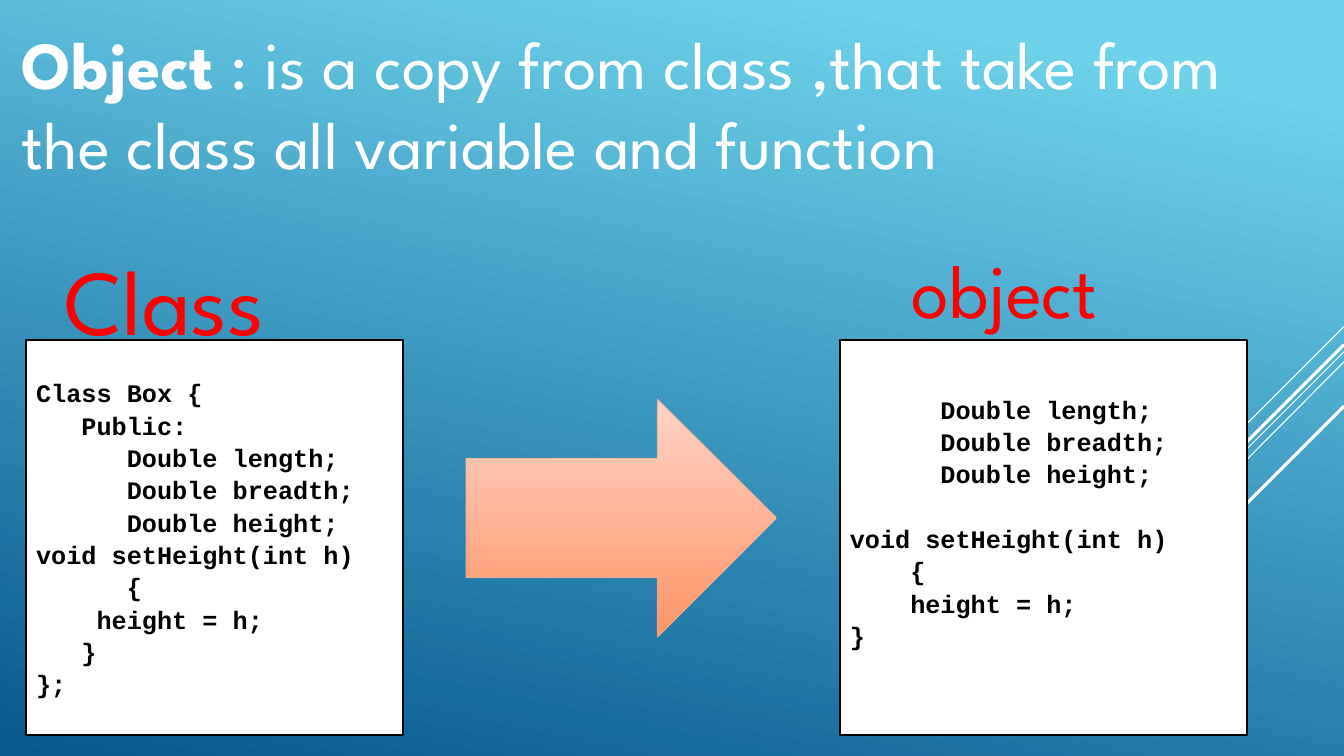
"""Build a slide showing an object as a copy made from a class."""
from pptx import Presentation
from pptx.dml.color import RGBColor
from pptx.enum.shapes import MSO_CONNECTOR, MSO_SHAPE as Preset
from pptx.enum.text import MSO_ANCHOR as Anchor, MSO_AUTO_SIZE as AutoSize, PP_ALIGN as Align
from pptx.oxml.ns import qn
from pptx.oxml.xmlchemy import OxmlElement
from pptx.util import Inches, Pt

WHITE = RGBColor(0xFF, 0xFF, 0xFF)
BLACK = RGBColor(0x00, 0x00, 0x00)
RED = RGBColor(0xFF, 0x00, 0x00)
SKY = RGBColor(0x6E, 0xD2, 0xEB)
NAVY = RGBColor(0x06, 0x58, 0x8E)
PEACH = RGBColor(0xFF, 0xD4, 0xC6)
ORANGE = RGBColor(0xFF, 0x94, 0x67)
ARROW_EDGE = RGBColor(0xEE, 0xA7, 0x8F)
CHARACTER = 0.15
CODE_LINE = 0.32


def set_gradient(fill, angle, stops):
    fill.gradient()
    fill.gradient_angle = angle
    for stop, (position, color) in zip(fill.gradient_stops, stops):
        stop.position = position
        stop.color.rgb = color


def add_run(paragraph, text, **formats):
    run = paragraph.add_run()
    run.text = text
    color = formats.pop("color")
    for name, value in formats.items():
        setattr(run.font, name, value)
    run.font.color.rgb = color


presentation = Presentation()
presentation.slide_width = Inches(13.33)
presentation.slide_height = Inches(7.5)
slide = presentation.slides.add_slide(presentation.slide_layouts[6])
set_gradient(slide.background.fill, 258, [(0.1, SKY), (1, NAVY)])

for start_y, end_x, end_y, width in [
    (3.24, 12.33, 4.24, 0.75),
    (3.49, 10.07, 6.75, 0.75),
    (3.59, 11.26, 5.67, 0.75),
    (3.42, 11.42, 5.33, 2.25),
    (4.03, 11.94, 5.42, 2.25),
]:
    ray = slide.shapes.add_connector(
        MSO_CONNECTOR.STRAIGHT, Inches(13.33), Inches(start_y), Inches(end_x), Inches(end_y))
    ray.line.color.rgb = WHITE
    ray.line.width = Pt(width)
    ray._element.spPr.append(OxmlElement("a:effectLst"))

headings = [
    ((0.34, 2.36, 3.22, 1.21), 0.3, 66, RED, [("Class", False)]),
    ((8.94, 2.36, 3.43, 1.01), 0.1, 54, RED, [("object", False)]),
    ((0.12, 0.17, 13.06, 1.72), 0.1, 48, WHITE, [
        ("Object", True),
        (" : is a copy from class ,that take from the class all variable and function", False)]),
]
for place, inset, size, color, runs in headings:
    box = slide.shapes.add_textbox(*map(Inches, place))
    frame = box.text_frame
    frame.word_wrap = True
    frame.auto_size = AutoSize.SHAPE_TO_FIT_TEXT
    frame.margin_left = Inches(inset)
    for text, bold in runs:
        add_run(frame.paragraphs[0], text, name="League Spartan",
                size=Pt(size), bold=bold, color=color)

fields = [(6, 0, "Double length;"), (6, 0, "Double breadth;"), (6, 0, "Double height;")]
class_code = [
    (0, 0, "Class Box {"), (3, 0, "Public:"), *fields,
    (6, -6, "void setHeight(int h)\v{"), (4, 0, "height = h;"), (3, 0, "}"), (0, 0, "};"),
]
object_code = [
    *fields, (4, -4, "void setHeight(int h)\v{"), (4, 0, "height = h;"), (0, 0, "}"),
]
for left, width, code, bottom_inset, method_gap in [
    (0.26, 3.74, class_code, 0.05, 0),
    (8.33, 4.04, object_code, 0.05 + CODE_LINE, CODE_LINE),
]:
    panel = slide.shapes.add_shape(
        Preset.RECTANGLE, Inches(left), Inches(3.37), Inches(width), Inches(3.92))
    panel.shadow.inherit = False
    panel.fill.solid()
    panel.fill.fore_color.rgb = WHITE
    panel.line.color.rgb = BLACK
    panel.line.width = Pt(1.25)
    frame = panel.text_frame
    frame.word_wrap = True
    frame.vertical_anchor = Anchor.MIDDLE
    frame.margin_bottom = Inches(bottom_inset)
    for index, (margin, indent, text) in enumerate(code):
        paragraph = frame.add_paragraph() if index else frame.paragraphs[0]
        paragraph.alignment = Align.LEFT
        paragraph.line_spacing = 1.07
        if indent:
            paragraph.space_before = Inches(method_gap)
        properties = paragraph._p.get_or_add_pPr()
        properties.set("marL", str(Inches(margin * CHARACTER)))
        properties.set("indent", str(Inches(indent * CHARACTER)))
        for part, line in enumerate(text.split("\v")):
            if part:
                paragraph.add_line_break()
            add_run(paragraph, line, name="Courier New", size=Pt(18), bold=True, color=BLACK)

arrow = slide.shapes.add_shape(
    Preset.RIGHT_ARROW, Inches(4.62), Inches(3.96), Inches(3.08), Inches(2.36))
arrow.shadow.inherit = False
set_gradient(arrow.fill, 270, [(0, PEACH), (1, ORANGE)])
arrow.line.color.rgb = ARROW_EDGE
arrow.line.width = Pt(0.75)
alpha = OxmlElement("a:alpha")
alpha.set("val", "60000")
arrow._element.spPr.find(qn("a:ln")).find(".//" + qn("a:srgbClr")).append(alpha)

presentation.save("out.pptx")
